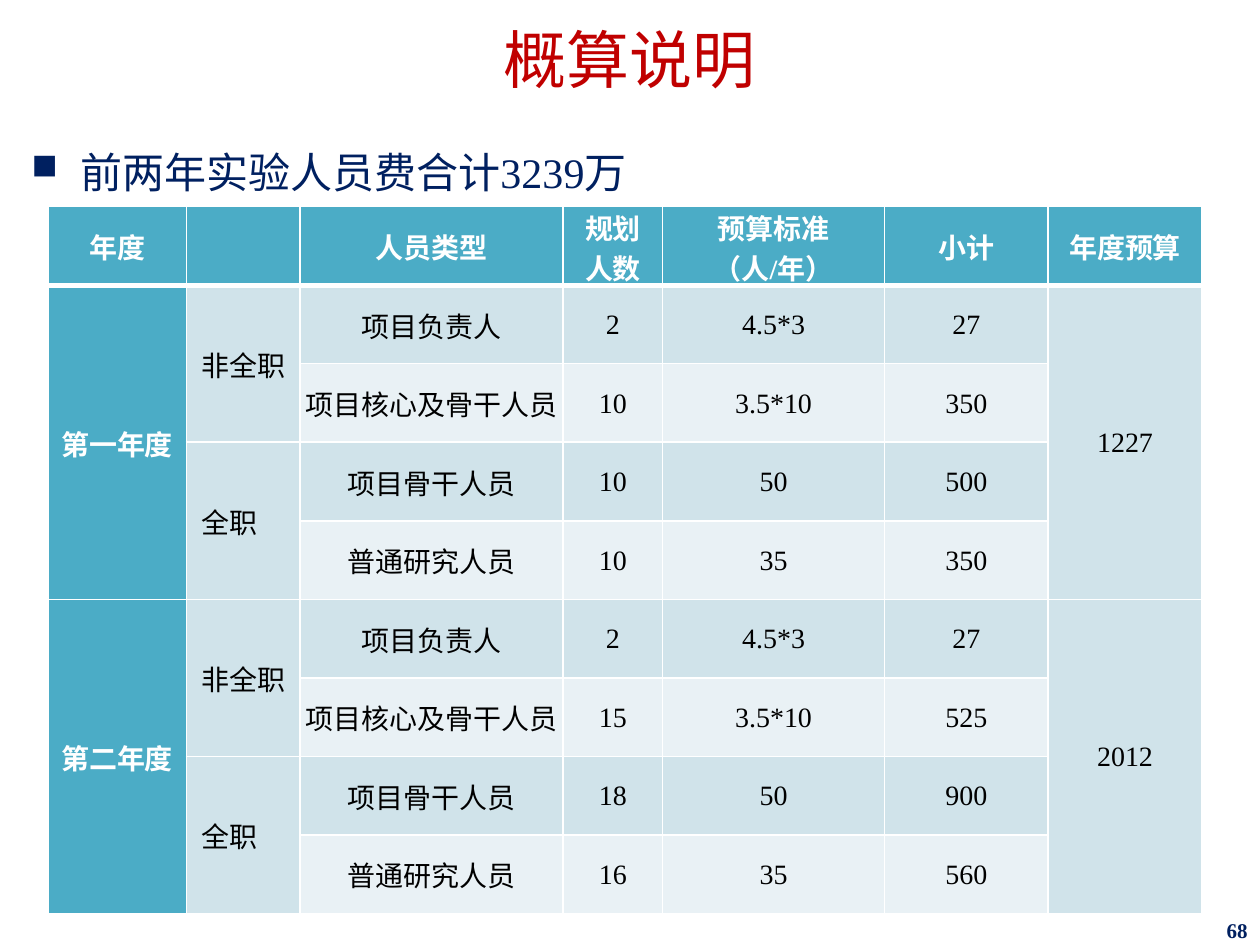
from dataclasses import dataclass

from lxml import etree
from pptx import Presentation
from pptx import util as u
from pptx.dml.color import RGBColor
from pptx.enum import text
from pptx.oxml import ns

Inches, Pt = u.Inches, u.Pt
LEFT, CENTER, RIGHT = text.PP_ALIGN.LEFT, text.PP_ALIGN.CENTER, text.PP_ALIGN.RIGHT


@dataclass(frozen=True)
class Theme:
    font: str = "Times New Roman"
    red: str = "C00000"
    navy: str = "002060"
    black: str = "000000"
    white: str = "FFFFFF"
    teal: str = "4BACC6"
    band_dark: str = "D0E3EA"
    band_light: str = "E9F1F5"
    title: int = 36
    body: int = 24
    cell: int = 16
    number: int = 12


T = Theme()

HEADERS = ["年度", "", "人员类型", "规划人数", "预算标准\n（人/年）", "小计", "年度预算"]
COL_WIDTHS = [1.1, 0.9, 2.09, 0.79, 1.76, 1.3, 1.22]
JOB_GROUPS = ["非全职", "全职　"]
ROLES = ["项目负责人", "项目核心及骨干人员", "项目骨干人员", "普通研究人员"]
RATES = ["4.5*3", "3.5*10", "50", "35"]
# year, head counts, subtotals, year budget
YEARS = [
    ("第一年度", [2, 10, 10, 10], [27, 350, 500, 350], 1227),
    ("第二年度", [2, 15, 18, 16], [27, 525, 900, 560], 2012),
]


def write(tf, content, size=T.cell, color=T.black, bold=False, align=CENTER,
          spacing=None, bullet=None, indent=0):
    """Fill a text frame, one paragraph for each line of content."""
    tf.word_wrap = True
    for i, line in enumerate(content.split("\n")):
        p = tf.paragraphs[0] if i == 0 else tf.add_paragraph()
        p.alignment = align
        if spacing:
            p.line_spacing = spacing
        if bullet:
            pPr = p._p.get_or_add_pPr()
            pPr.set("marL", str(Inches(indent)))
            pPr.set("indent", str(-Inches(indent)))
            etree.SubElement(pPr, ns.qn("a:buSzPct"), val="85000")
            etree.SubElement(pPr, ns.qn("a:buChar"), char=bullet)
        if line:
            r = p.add_run()
            r.text = line
            r.font.name = T.font
            r.font.size = Pt(size)
            r.font.bold = bold
            r.font.color.rgb = RGBColor.from_string(color)


def add_text(s, box, content, anchor, top_inset=0.05, **fmt):
    tf = s.shapes.add_textbox(*map(Inches, box)).text_frame
    tf.margin_top = Inches(top_inset)
    tf.vertical_anchor = anchor
    write(tf, content, **fmt)


def set_borders(cell, bottom):
    tcPr = cell._tc.get_or_add_tcPr()
    for i, (side, width) in enumerate([("L", 1), ("R", 1), ("T", 1), ("B", bottom)]):
        ln = etree.Element(ns.qn(f"a:ln{side}"), w=str(Pt(width)))
        fill = etree.SubElement(ln, ns.qn("a:solidFill"))
        etree.SubElement(fill, ns.qn("a:srgbClr"), val=T.white)
        tcPr.insert(i, ln)


def style_cell(cell, fill, insets, bottom=1):
    cell.fill.solid()
    cell.fill.fore_color.rgb = RGBColor.from_string(fill)
    cell.vertical_anchor = text.MSO_ANCHOR.MIDDLE
    cell.margin_left = cell.margin_right = Inches(insets[0])
    cell.margin_top = Inches(insets[1])
    cell.margin_bottom = 0
    set_borders(cell, bottom)


def add_year(table, top, year, counts, subtotals, budget):
    """Fill the block of rows of one year, starting at row top."""
    n = len(ROLES)
    for i in range(n):
        band = T.band_light if i % 2 else T.band_dark
        fills = [T.teal, T.band_dark] + [band] * 4 + [T.band_dark]
        for col, fill in enumerate(fills):
            style_cell(table.cell(top + i, col), fill, (0.01, 0.01))
        values = [ROLES[i], counts[i], RATES[i], subtotals[i]]
        for col, value in enumerate(values, start=2):
            write(table.cell(top + i, col).text_frame, str(value))

    def merged(row, col, span, content, **fmt):
        cell = table.cell(row, col)
        cell.merge(table.cell(row + span - 1, col))
        write(cell.text_frame, content, **fmt)

    merged(top, 0, n, year, color=T.white, bold=True)
    span = n // len(JOB_GROUPS)
    for g, group in enumerate(JOB_GROUPS):
        merged(top + g * span, 1, span, group)
    merged(top, 6, n, str(budget))


def add_budget_table(s, box):
    rows = 1 + len(YEARS) * len(ROLES)
    table = s.shapes.add_table(rows, len(HEADERS), *map(Inches, box)).table
    for col, (width, header) in enumerate(zip(COL_WIDTHS, HEADERS)):
        table.columns[col].width = Inches(width)
        cell = table.cell(0, col)
        style_cell(cell, T.teal, (0.07, 0), bottom=3)
        write(cell.text_frame, header, color=T.white, bold=True)
    for i, year in enumerate(YEARS):
        add_year(table, 1 + i * len(ROLES), *year)


def main():
    prs = Presentation()
    prs.slide_width, prs.slide_height = Inches(10), Inches(7.5)
    s = prs.slides.add_slide(prs.slide_layouts[6])
    middle, top = text.MSO_ANCHOR.MIDDLE, text.MSO_ANCHOR.TOP
    add_text(s, (0, 0, 10, 0.89), "概算说明", middle, top_inset=0.16,
             size=T.title, color=T.red, spacing=0.9)
    add_text(s, (0.15, 0.99, 9.72, 6.17), "前两年实验人员费合计3239万", top,
             size=T.body, color=T.navy, align=LEFT, spacing=1.3,
             bullet="■", indent=0.39)
    add_text(s, (7.75, 7.28, 2.25, 0.22), "68", middle, top_inset=0.04,
             size=T.number, color=T.navy, bold=True, align=RIGHT)
    add_budget_table(s, (0.38, 1.64, 9.17, 5.61))
    prs.save("out.pptx")


if __name__ == "__main__":
    main()
